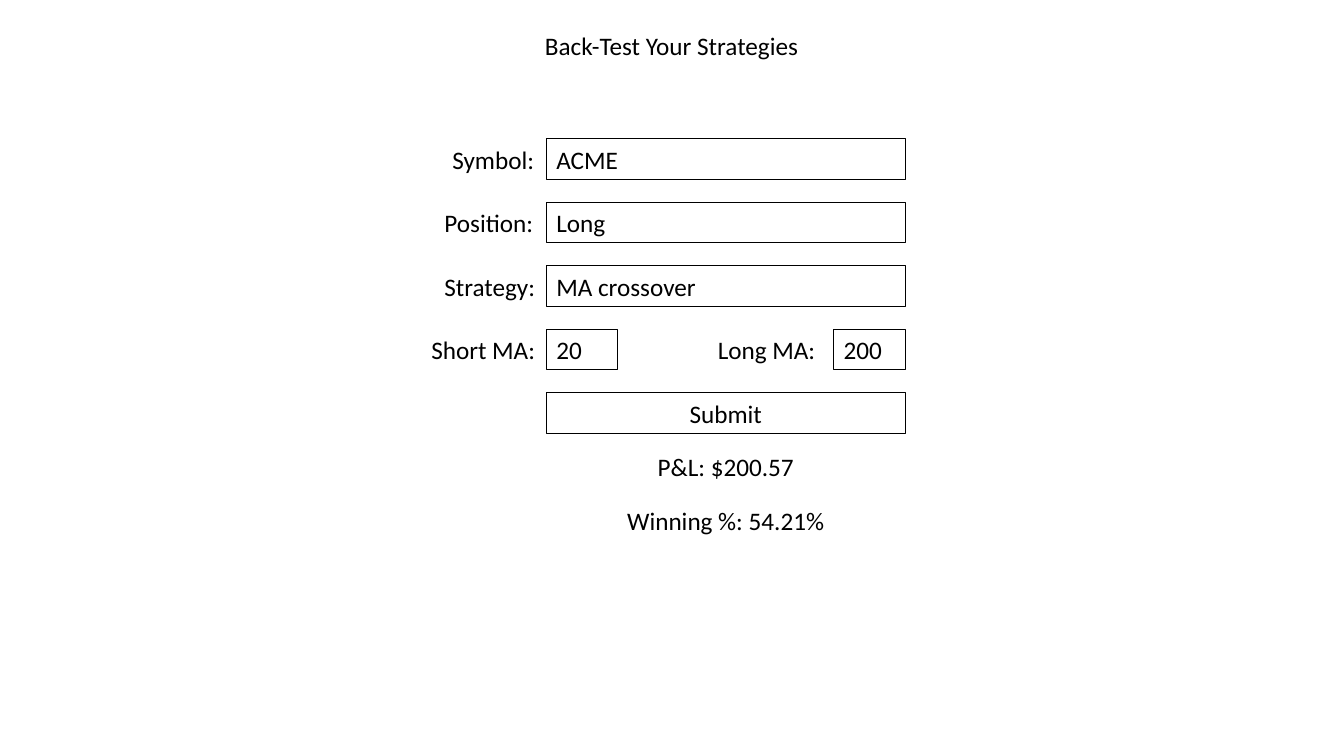
from pptx import Presentation
from pptx.dml.color import RGBColor
from pptx.enum.shapes import MSO_SHAPE
from pptx.enum.text import MSO_ANCHOR, MSO_AUTO_SIZE, PP_ALIGN
from pptx.util import Cm, Pt

BLACK = RGBColor(0, 0, 0)
LEFT, CENTER = PP_ALIGN.LEFT, PP_ALIGN.CENTER
TOP = MSO_ANCHOR.TOP
GROW = MSO_AUTO_SIZE.SHAPE_TO_FIT_TEXT
RECTANGLE = MSO_SHAPE.RECTANGLE

FONT = {"name": "Calibri", "size": Pt(18), "bold": False}
FRAME = {
    "word_wrap": True,
    "auto_size": GROW,
    "vertical_anchor": TOP,
    "margin_left": Cm(0.25),
    "margin_right": Cm(0.25),
    "margin_top": Cm(0.13),
    "margin_bottom": Cm(0.13),
}

# Form grid, in centimetres
FIELD_LEFT, FIELD_WIDTH, SMALL_WIDTH = 13.77, 9.04, 1.8
FIELD_RIGHT = FIELD_LEFT + FIELD_WIDTH
ROW_TOP, ROW_STEP, ROW_HEIGHT = 3.5, 1.6, 1.02

# Label, label width, field text, field width
ROWS = [
    ("Symbol:", 2.62, "ACME", FIELD_WIDTH),
    ("Position:", 2.82, "Long", FIELD_WIDTH),
    ("Strategy:", 2.82, "MA crossover", FIELD_WIDTH),
    ("Short MA:", 3.15, "20", SMALL_WIDTH),
]
# Text, top, width
RESULTS = [("P&L: $200.57", 11.25, 4.78), ("Winning %: 54.21%", 12.6, 6.17)]


def set_values(target, values):
    for name, value in values.items():
        setattr(target, name, value)


def write_text(shape, text, align):
    frame = shape.text_frame
    frame.text = text
    set_values(frame, FRAME)
    para = frame.paragraphs[0]
    para.alignment = align
    set_values(para.font, FONT)
    para.font.color.rgb = BLACK


def add_title(slide, text):
    title = slide.shapes.title
    set_values(title, {"left": Cm(12.19), "top": Cm(0.64),
                       "width": Cm(9.47), "height": Cm(ROW_HEIGHT)})
    write_text(title, text, CENTER)


def add_label(slide, text, left, top, width, align=LEFT):
    box = slide.shapes.add_textbox(Cm(left), Cm(top), Cm(width), Cm(ROW_HEIGHT))
    write_text(box, text, align)


def add_field(slide, text, left, top, width, align=LEFT):
    field = slide.shapes.add_shape(
        RECTANGLE, Cm(left), Cm(top), Cm(width), Cm(ROW_HEIGHT))
    field.shadow.inherit = False
    field.fill.background()
    field.line.color.rgb = BLACK
    field.line.width = Pt(0.75)
    write_text(field, text, align)


def add_form(slide):
    for index, (label, label_width, value, width) in enumerate(ROWS):
        top = ROW_TOP + index * ROW_STEP
        add_label(slide, label, FIELD_LEFT - label_width, top, label_width)
        add_field(slide, value, FIELD_LEFT, top, width)

    long_left = FIELD_RIGHT - SMALL_WIDTH
    add_label(slide, "Long MA:", long_left - 3.17, top, 3.15)
    add_field(slide, "200", long_left, top, SMALL_WIDTH)
    add_field(slide, "Submit", FIELD_LEFT, top + ROW_STEP, FIELD_WIDTH, CENTER)


def add_results(slide):
    center = FIELD_LEFT + FIELD_WIDTH / 2
    for text, top, width in RESULTS:
        add_label(slide, text, center - width / 2, top, width, CENTER)


def main():
    deck = Presentation()
    deck.slide_width, deck.slide_height = Cm(33.87), Cm(19.05)
    slide = deck.slides.add_slide(deck.slide_layouts[5])
    add_title(slide, "Back-Test Your Strategies")
    add_form(slide)
    add_results(slide)
    deck.save("out.pptx")


if __name__ == "__main__":
    main()
